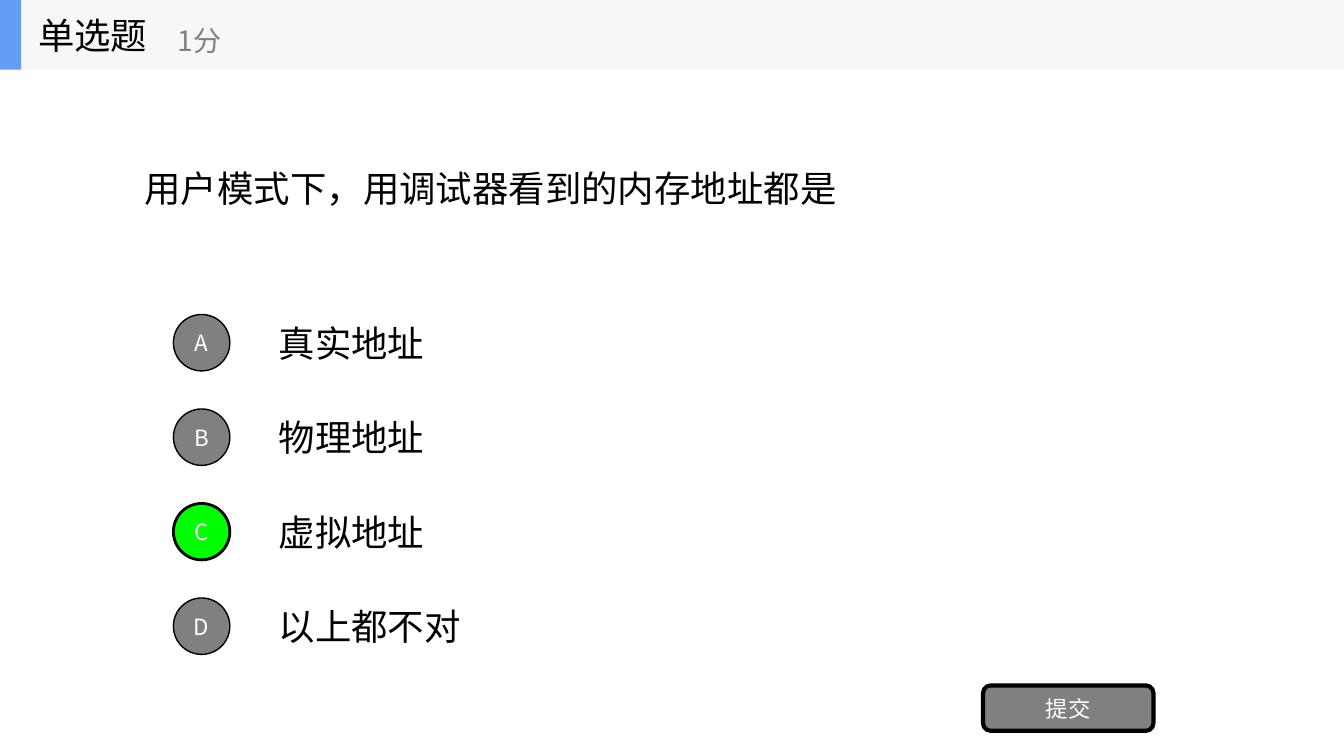
"""Build a quiz slide with one question, four choices and a submit button."""
from dataclasses import dataclass
from lxml import etree
from pptx import Presentation
from pptx.dml.color import RGBColor
from pptx.enum.shapes import MSO_SHAPE
from pptx.enum.text import MSO_ANCHOR, MSO_AUTO_SIZE, PP_ALIGN
from pptx.oxml.ns import qn
from pptx.util import Inches, Pt

RECT, ROUND, OVAL = MSO_SHAPE.RECTANGLE, MSO_SHAPE.ROUNDED_RECTANGLE, MSO_SHAPE.OVAL
LEFT, CENTER = PP_ALIGN.LEFT, PP_ALIGN.CENTER
MIDDLE, FIXED = MSO_ANCHOR.MIDDLE, MSO_AUTO_SIZE.NONE


@dataclass(frozen=True)
class Theme:
    font: str = "Noto Sans CJK SC"
    ink: str = "000000"
    gray: str = "808080"
    white: str = "FFFFFF"
    green: str = "00FF00"
    band: str = "F6F7F8"
    blue: str = "639EF4"
    large: int = 26
    mid: int = 20
    small: int = 16


theme = Theme()


def write(shape, text, size, color, align=LEFT):
    frame = shape.text_frame
    frame.word_wrap, frame.auto_size = True, FIXED
    frame.vertical_anchor = MIDDLE
    para = frame.paragraphs[0]
    para.alignment = align
    run = para.add_run()
    run.text = text
    run.font.size = Pt(size)
    run.font.color.rgb = RGBColor.from_string(color)
    run.font.name = theme.font
    etree.SubElement(run.font._element, qn("a:ea"), typeface=theme.font)


def draw(shapes, kind, box, fill, width=0):
    shape = shapes.add_shape(kind, *box)
    shape.shadow.inherit = False
    shape.fill.solid()
    shape.fill.fore_color.rgb = RGBColor.from_string(fill)
    if width:
        shape.line.color.rgb = RGBColor.from_string(theme.ink)
        shape.line.width = Pt(width)
    else:
        shape.line.fill.background()
    return shape


deck = Presentation()
deck.slide_width, deck.slide_height = Inches(13.33), Inches(7.5)
wide, high = deck.slide_width, deck.slide_height
slide = deck.slides.add_slide(deck.slide_layouts[5])
shapes = slide.shapes

head = Inches(0.69)
title = shapes.title
title.left, title.top = wide // 10, head
title.width, title.height = wide * 8 // 10, Inches(2.34)
write(title, "用户模式下，用调试器看到的内存地址都是", theme.large, theme.ink)

first, step, row = Inches(3.05), high // 8, Inches(0.7)
disc = Inches(0.56)
answer = "C"
choices = ["真实地址", "物理地址", "虚拟地址", "以上都不对"]
for index, (letter, choice) in enumerate(zip("ABCD", choices)):
    top = first + index * step
    label = shapes.add_textbox(wide // 5, top, wide * 7 // 10, row)
    write(label, choice, theme.large, theme.ink)
    right = letter == answer
    box = (Inches(1.72), top + (row - disc) // 2, disc, disc)
    mark = draw(shapes, OVAL, box, theme.green if right else theme.gray, 2 if right else 1)
    mark.text_frame.margin_left = mark.text_frame.margin_right = 0
    write(mark, letter, theme.small, theme.white, CENTER)

box = (Inches(9.75), Inches(6.8), Inches(1.69), Inches(0.45))
button = draw(shapes, ROUND, box, theme.gray, 3)
write(button, "提交", theme.small, theme.white, CENTER)

banner = shapes.add_group_shape().shapes
draw(banner, RECT, (0, 0, wide, head), theme.band)
draw(banner, RECT, (0, 0, Inches(0.21), head), theme.blue)
kind = banner.add_textbox(Inches(0.28), 0, Inches(2.08), head)
write(kind, "单选题", theme.large, theme.ink)
score = banner.add_textbox(wide // 8, Inches(0.12), Inches(2.5), Inches(0.56))
write(score, "1分", theme.mid, theme.gray)

deck.save("out.pptx")
